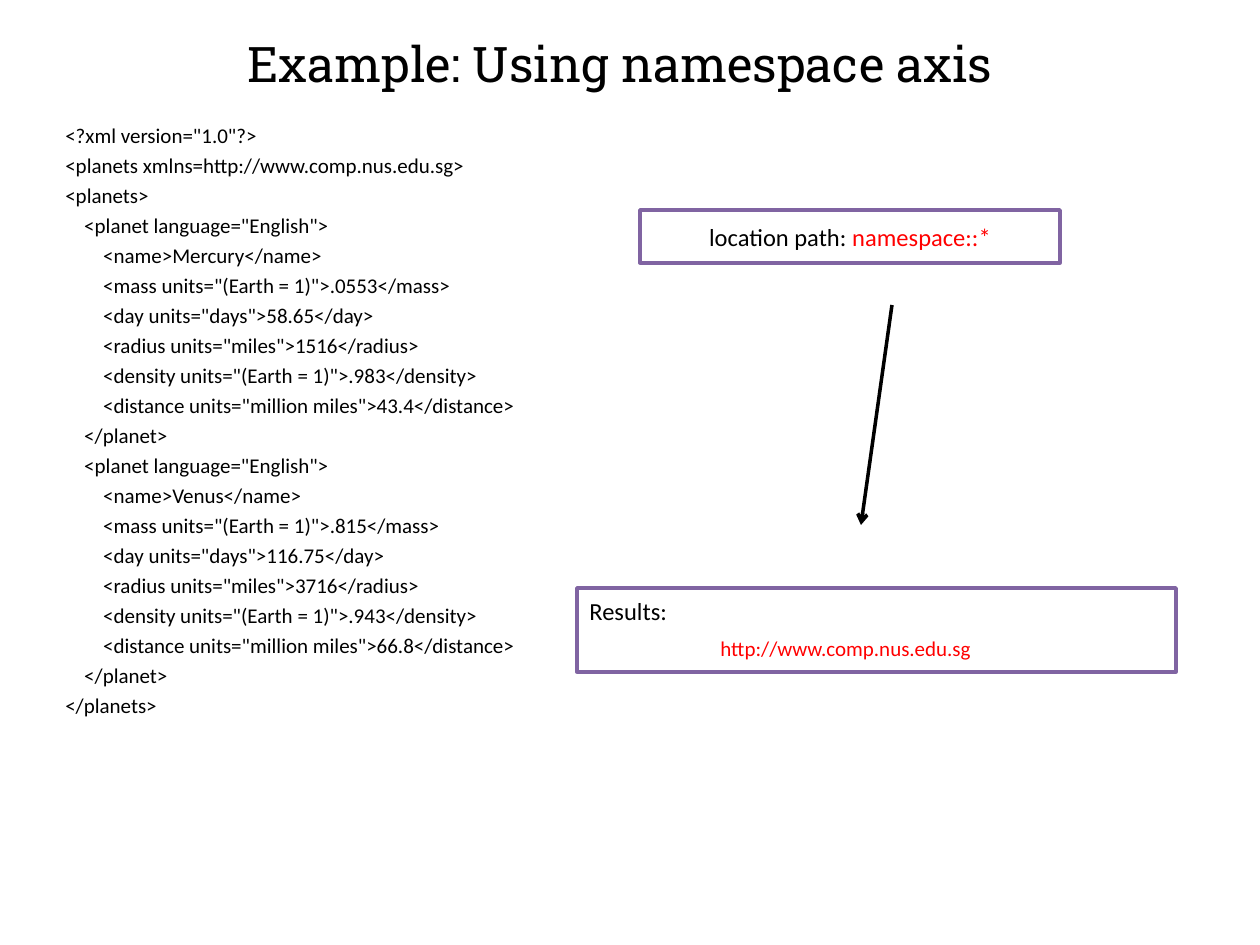
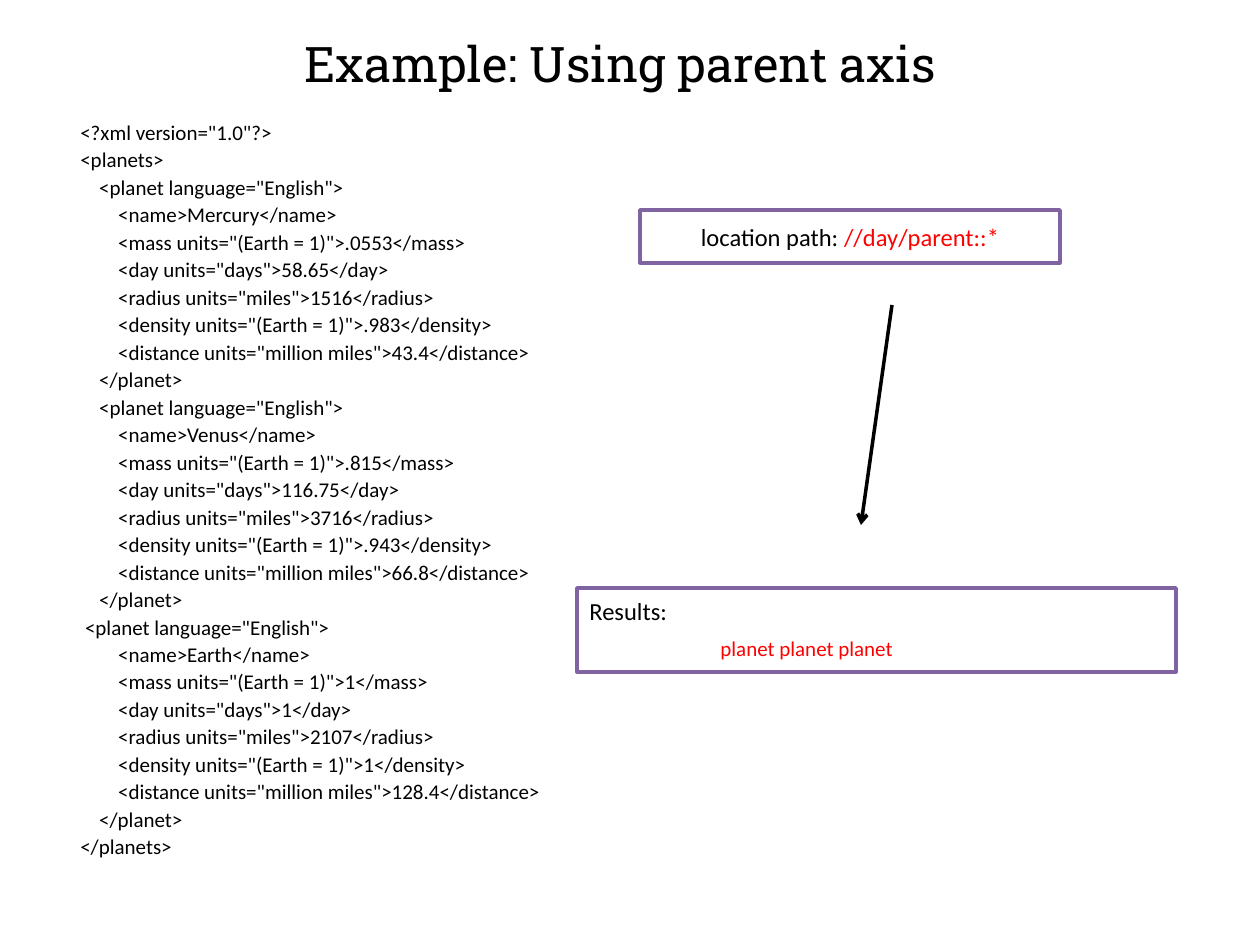
from lxml import etree
from pptx import Presentation, util as u
from pptx.dml.color import RGBColor
from pptx.enum import shapes, text
from pptx.oxml.ns import qn

PX = 914400 / 126
COLORS = {"ink": "000000", "paper": "FFFFFF", "frame": "8064A2", "answer": "FF0000"}
TITLE_FONT, BODY_FONT = "Roboto Slab", "Calibri"

MERCURY = ("Mercury", ".0553", "58.65", "1516", ".983", "43.4")
VENUS = ("Venus", ".815", "116.75", "3716", ".943", "66.8")
EARTH = ("Earth", "1", "1", "2107", "1", "128.4")


def px(*lengths):
    return [u.Emu(round(length * PX)) for length in lengths]


def color(name):
    return RGBColor.from_string(COLORS[name])


def set_font(font, size, ink="ink", family=BODY_FONT):
    font.size = u.Pt(size)
    font.name = family
    font.color.rgb = color(ink)


def planet_lines(planet, opening_indent=4):
    name, mass, day, radius, density, distance = planet
    measures = [
        ("mass", "(Earth = 1)", mass),
        ("day", "days", day),
        ("radius", "miles", radius),
        ("density", "(Earth = 1)", density),
        ("distance", "million miles", distance),
    ]
    return [
        " " * opening_indent + '<planet language="English">',
        f"        <name>{name}</name>",
        *(f'        <{tag} units="{unit}">{value}</{tag}>' for tag, unit, value in measures),
        "    </planet>",
    ]


def add_title(slide, wording):
    frame = slide.shapes.add_textbox(*px(53, 0, 1134, 126)).text_frame
    frame.word_wrap = True
    frame.vertical_anchor = text.MSO_ANCHOR.MIDDLE
    heading = frame.paragraphs[0]
    heading.text = wording
    heading.alignment = text.PP_ALIGN.CENTER
    set_font(heading.font, 28, family=TITLE_FONT)


def add_code(slide, lines, hanging, line_spacing):
    frame = slide.shapes.add_textbox(*px(53, 116, 1134, 798)).text_frame
    frame.word_wrap = True
    margin, indent = px(*hanging)
    for number, line in enumerate(lines):
        row = frame.add_paragraph() if number else frame.paragraphs[0]
        row.text = line
        properties = row._p.get_or_add_pPr()
        properties.set("marL", str(margin))
        properties.set("indent", str(indent))
        row.line_spacing = line_spacing
        if number:
            row.space_before = u.Pt(2.75)
        set_font(row.font, 12)


def add_framed_box(slide, *place):
    box = slide.shapes.add_shape(shapes.MSO_SHAPE.RECTANGLE, *px(*place))
    box.shadow.inherit = False
    box.fill.solid()
    box.fill.fore_color.rgb = color("paper")
    box.line.color.rgb = color("frame")
    box.line.width = u.Pt(2)
    box.text_frame.word_wrap = True
    return box.text_frame


def add_location_path(slide, expression):
    frame = add_framed_box(slide, 640, 210, 420, 53)
    frame.vertical_anchor = text.MSO_ANCHOR.MIDDLE
    query = frame.paragraphs[0]
    query.alignment = text.PP_ALIGN.CENTER
    for wording, ink in (("location path: ", "ink"), (expression, "answer")):
        part = query.add_run()
        part.text = wording
        set_font(part.font, 14, ink)


def add_results(slide, wording):
    frame = add_framed_box(slide, 577, 588, 599, 84)
    frame.vertical_anchor = text.MSO_ANCHOR.TOP
    frame.margin_top, = px(8)
    label = frame.paragraphs[0]
    label.text = "Results:"
    set_font(label.font, 14)
    answer = frame.add_paragraph()
    answer.text = wording
    answer._p.get_or_add_pPr().set("marL", str(px(131)[0]))
    answer.space_before = u.Pt(5.75)
    set_font(answer.font, 12, "answer")
    for line in (label, answer):
        line.alignment = text.PP_ALIGN.LEFT


def add_arrow(slide):
    arrow = slide.shapes.add_connector(shapes.MSO_CONNECTOR.STRAIGHT, *px(892, 305, 861, 525))
    arrow.line.color.rgb = color("ink")
    arrow.line.width = u.Pt(2)
    properties = arrow._element.spPr
    etree.SubElement(properties.find(qn("a:ln")), qn("a:tailEnd"), type="arrow")
    etree.SubElement(properties, qn("a:effectLst"))


def add_example(deck, axis, lines, hanging, line_spacing, expression, results):
    slide = deck.slides.add_slide(deck.slide_layouts[6])
    add_title(slide, f"Example: Using {axis} axis")
    add_code(slide, lines, hanging, line_spacing)
    add_location_path(slide, expression)
    add_results(slide, results)
    add_arrow(slide)


def main():
    deck = Presentation()
    deck.slide_width, deck.slide_height = px(1260, 945)
    declaration = '<?xml version="1.0"?>'
    two_planets = planet_lines(MERCURY) + planet_lines(VENUS)
    add_example(
        deck, "namespace",
        [declaration, "<planets xmlns=http://www.comp.nus.edu.sg>", "<planets>",
         *two_planets, "</planets>"],
        (48, -48), 1.0, "namespace::*", "http://www.comp.nus.edu.sg",
    )
    add_example(
        deck, "parent",
        [declaration, "<planets>", *two_planets,
         *planet_lines(EARTH, opening_indent=1), "</planets>"],
        (50, -35), 0.9, "//day/parent::*", "planet planet planet",
    )
    deck.save("out.pptx")


if __name__ == "__main__":
    main()
